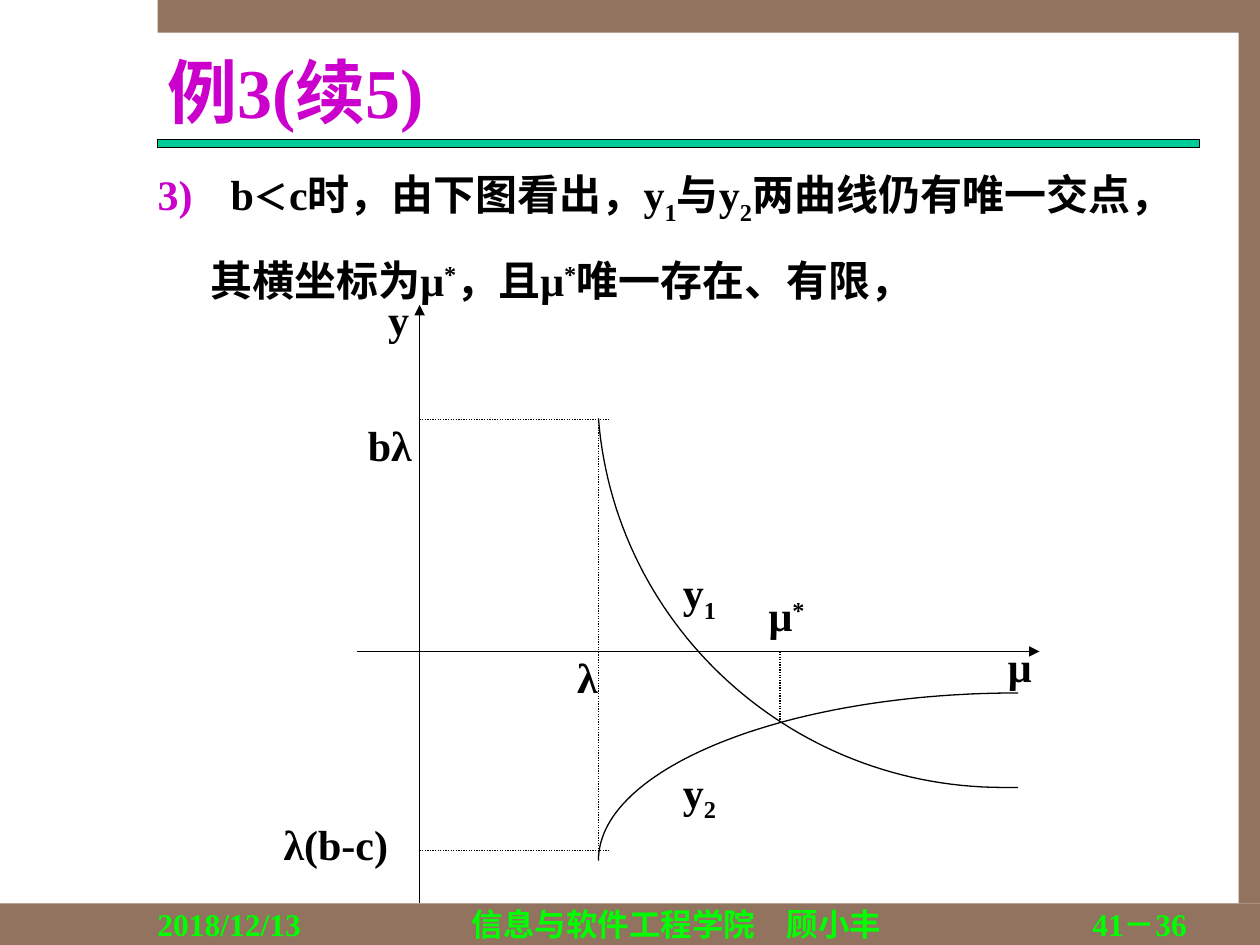
from lxml import etree
from pptx import Presentation
from pptx.dml.color import RGBColor
from pptx.enum.dml import MSO_LINE
from pptx.enum.shapes import MSO_CONNECTOR, MSO_SHAPE
from pptx.enum.text import MSO_ANCHOR, MSO_AUTO_SIZE, PP_ALIGN
from pptx.oxml.ns import qn
from pptx.util import Inches, Pt

LEFT, CENTER, RIGHT, JUSTIFY = (PP_ALIGN.LEFT, PP_ALIGN.CENTER, PP_ALIGN.RIGHT,
                                PP_ALIGN.JUSTIFY)
FONT = "Times New Roman"
COLORS = {"band": "91735F", "rule": "00CC99", "ink": "000000",
          "title": "CC00CC", "footer": "00FF00"}
W, H = 10, 7.5
EDGE = 1.25                     # left edge of the content
FOOT = 7.17                     # top of the footer band
SUP, SUB = 30, -25              # baseline shifts in percent

# Content
TITLE = "例3(续5)"
POINT = [("b", 0, 24), ("＜", 0, 20), ("c时，由下图看出，y", 0, 24), ("1", SUB, 24),
         ("与y", 0, 24), ("2", SUB, 24), ("两曲线仍有唯一交点，", 0, 24)]
POINT_END = [("其横坐标为μ", 0, 24), ("*", SUP, 24), ("，且μ", 0, 24),
             ("*", SUP, 24), ("唯一存在、有限，", 0, 24)]
FOOTER = [("2018/12/13", EDGE, 1.83, LEFT),
          ("信息与软件工程学院\u3000顾小丰", 3.08, 4.58, CENTER),
          ("41－36", 7.75, 1.67, RIGHT)]
BANDS = [(0, FOOT, W, H - FOOT), (EDGE, 0, W - EDGE, 0.26), (9.83, 0.25, 0.17, 6.92)]

# Diagram: axis positions, marked values and curves
Y_AXIS, MU_AXIS = 3.33, 5.17
LAMBDA, MU_STAR = 4.75, 6.19
TOP, BOTTOM, CROSSING = 3.33, 6.75, 5.73
AXES = [((2.83, MU_AXIS), (8.25, MU_AXIS)), ((Y_AXIS, FOOT), (Y_AXIS, 2.42))]
GUIDES = [((LAMBDA, TOP), (LAMBDA, 6.8)),
          ((MU_STAR, MU_AXIS), (MU_STAR, CROSSING)),
          ((Y_AXIS, TOP), (4.83, TOP)),
          ((Y_AXIS, BOTTOM), (4.83, BOTTOM))]
CURVES = {
    "y1": [(8.08, 6.25), (7.96, 6.25), (6.28, 6.25), (4.88, 4.97), (LAMBDA, 3.32)],
    "y2": [(8.08, 5.5), (6.24, 5.5), (LAMBDA, 6.1), (LAMBDA, 6.83)],
}
LABELS = [("λ", "", 0, 4.58, 5.17, 0.25), ("bλ", "", 0, 2.92, 3.33, 0.42),
          ("λ(b-c)", "", 0, 2.25, 6.5, 0.92), ("μ", "*", SUP, 6.1, 4.68, 0.5),
          ("y", "", 0, 3.08, 2.33, 0.25), ("μ", "", 0, 8, 5.08, 0.33),
          ("y", "2", SUB, 5.42, 6.08, 0.33), ("y", "1", SUB, 5.42, 4.5, 0.33)]


def rgb(name):
    return RGBColor.from_string(COLORS[name])


def place(sp, x, y, w, h):
    sp.left, sp.top, sp.width, sp.height = map(Inches, (x, y, w, h))


def write(sp, runs, color="ink", align=LEFT, anchor=MSO_ANCHOR.TOP):
    tf = sp.text_frame
    tf.word_wrap, tf.auto_size, tf.vertical_anchor = True, MSO_AUTO_SIZE.NONE, anchor
    tf.margin_left = tf.margin_top = tf.margin_right = tf.margin_bottom = 0
    p = tf.paragraphs[0]
    p.alignment = align
    for text, shift, size in runs:
        r = p.add_run()
        r.text = text
        r.font.name, r.font.size, r.font.bold = FONT, Pt(size), True
        r.font.color.rgb = rgb(color)
        if shift:
            r._r.get_or_add_rPr().set("baseline", str(shift * 1000))
    return p


def add_text(s, box, runs, color="ink", align=LEFT):
    return write(s.shapes.add_textbox(*map(Inches, box)), runs, color, align)


def add_bar(s, box, color, outline=None):
    sp = s.shapes.add_shape(MSO_SHAPE.RECTANGLE, *map(Inches, box))
    sp.shadow.inherit = False
    sp.fill.solid()
    sp.fill.fore_color.rgb = rgb(color)
    if outline:
        sp.line.color.rgb, sp.line.width = rgb(outline), Pt(0.75)
    else:
        sp.line.fill.background()


def add_line(s, start, end, arrow=False):
    ln = s.shapes.add_connector(MSO_CONNECTOR.STRAIGHT, *map(Inches, start + end))
    ln.line.color.rgb, ln.line.width = rgb("ink"), Pt(0.75)
    if arrow:
        etree.SubElement(ln.line._get_or_add_ln(), qn("a:tailEnd"), type="triangle")
    else:
        ln.line.dash_style = MSO_LINE.ROUND_DOT
    etree.SubElement(ln._element.spPr, qn("a:effectLst"))


def bezier(p0, p1, p2, p3, steps=60):
    for i in range(steps + 1):
        t = i / steps
        u = 1 - t
        yield tuple(u**3 * a + 3 * u * u * t * b + 3 * u * t * t * c + t**3 * d
                    for a, b, c, d in zip(p0, p1, p2, p3))


def add_curve(s, points):
    # The last four points control the bend; any earlier point is a straight lead-in
    trace = points[:-4] + list(bezier(*points[-4:]))
    # Vertices are rounded to whole units, so they are given in EMU
    trace = [(Inches(x), Inches(y)) for x, y in trace]
    fb = s.shapes.build_freeform(*trace[0])
    fb.add_line_segments(trace[1:], close=False)
    sp = fb.convert_to_shape()
    sp.shadow.inherit = False
    sp.fill.background()
    sp.line.color.rgb, sp.line.width = rgb("ink"), Pt(0.75)


def number(p, start, indent, color):
    pPr = p._p.get_or_add_pPr()
    pPr.set("marL", str(Inches(indent)))
    pPr.set("indent", str(-Inches(indent)))
    clr = etree.SubElement(pPr, qn("a:buClr"))
    etree.SubElement(clr, qn("a:srgbClr"), val=COLORS[color])
    etree.SubElement(pPr, qn("a:buFont"), typeface=FONT)
    etree.SubElement(pPr, qn("a:buAutoNum"), type="arabicParenR", startAt=str(start))


def main():
    prs = Presentation()
    prs.slide_width, prs.slide_height = Inches(W), Inches(H)
    s = prs.slides.add_slide(prs.slide_layouts[5])

    # Frame, title and footer
    for box in BANDS:
        add_bar(s, box, "band")
    add_bar(s, (EDGE, 1.11, 8.27, 0.06), "rule", "ink")
    title = s.shapes.title
    place(title, 1.33, 0.38, 8.17, 0.67)
    write(title, [(TITLE, 0, 40)], "title", anchor=MSO_ANCHOR.MIDDLE)
    for text, x, w, align in FOOTER:
        add_text(s, (x, 7.18, w, 0.3), [(text, 0, 18)], "footer", align)

    # Statement
    p = add_text(s, (EDGE, 1.25, 8.42, 0.48), POINT)
    p.line_spacing = 1.2
    number(p, 3, 0.58, "title")
    p = add_text(s, (1.67, 1.94, 5.67, 0.48), POINT_END, align=JUSTIFY)
    p.line_spacing = 1.2

    # Diagram
    for start, end in AXES:
        add_line(s, start, end, arrow=True)
    for start, end in GUIDES:
        add_line(s, start, end)
    for points in CURVES.values():
        add_curve(s, points)
    for text, mark, shift, x, y, w in LABELS:
        runs = [(text, 0, 24)] + ([(mark, shift, 24)] if mark else [])
        add_text(s, (x, y, w, 0.4), runs)

    prs.save("out.pptx")


if __name__ == "__main__":
    main()
